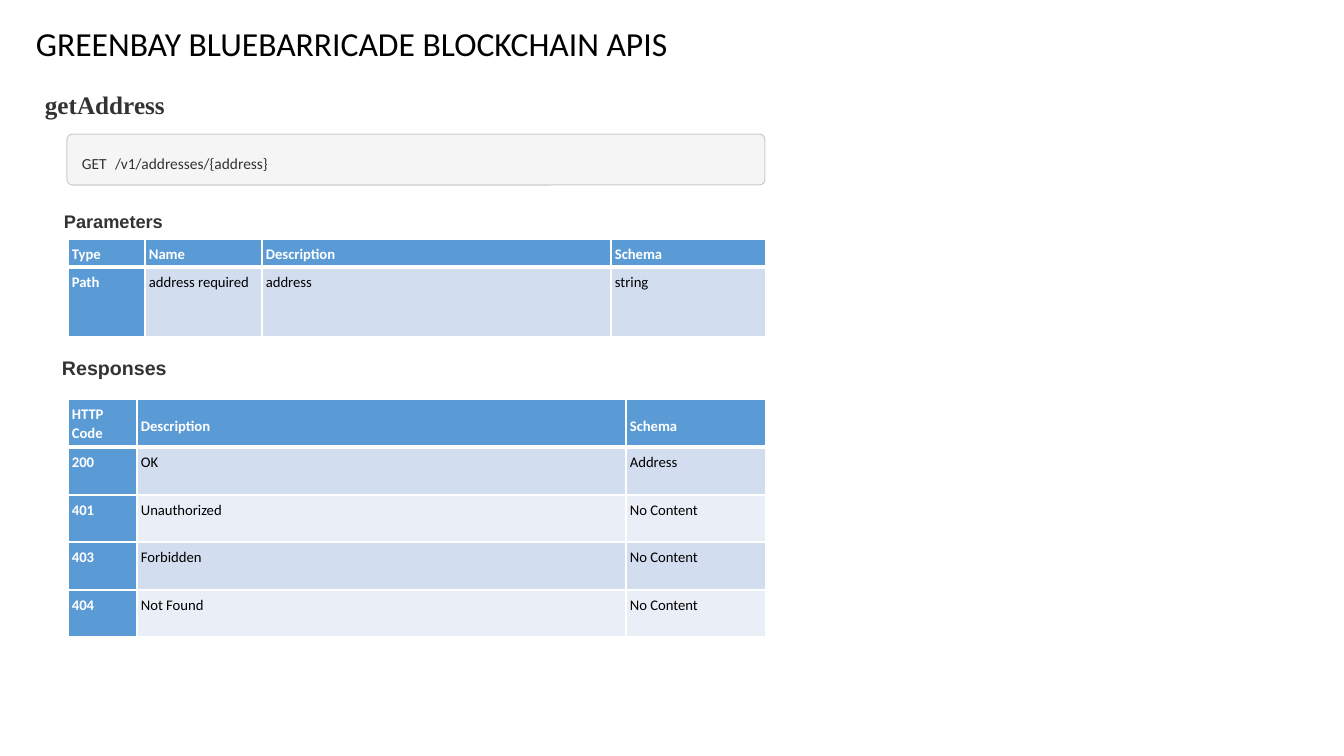
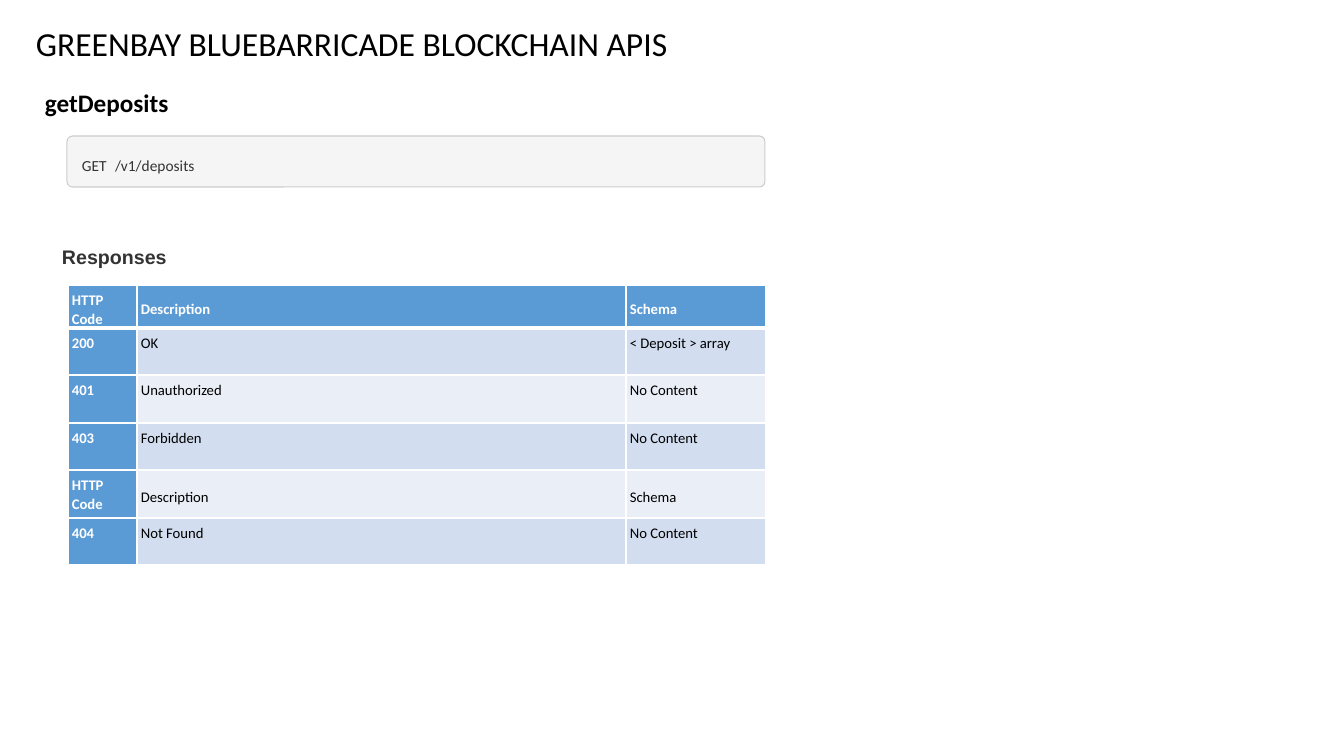
"""Build two reference slides for a blockchain REST interface."""
from dataclasses import dataclass

from lxml.etree import SubElement
from pptx import Presentation
from pptx.dml.color import RGBColor
from pptx.enum.shapes import MSO_SHAPE
from pptx.enum.text import MSO_ANCHOR, MSO_AUTO_SIZE
from pptx.oxml.ns import qn
from pptx.slide import Slide
from pptx.table import _Cell
from pptx.util import Emu, Pt

SCALE = 914400 / 100.8
HUES = {
    "black": "000000",
    "ink": "333333",
    "white": "FFFFFF",
    "blue": "5B9BD5",
    "odd": "D2DEEF",
    "even": "EAEFF7",
    "panel": "F5F5F5",
    "edge": "CCCCCC",
}
LEFT, WIDTH = 68, 698
CODE = "HTTP Code"


@dataclass(frozen=True)
class Style:
    font: str
    size: float
    hue: str
    bold: bool = False
    lead: float = 1.0


@dataclass(frozen=True)
class Label:
    text: str
    left: int
    top: int
    width: int
    height: int
    style: Style
    wrap: bool = False
    anchor: MSO_ANCHOR = MSO_ANCHOR.TOP


@dataclass(frozen=True)
class Grid:
    top: int
    cols: tuple[int, ...]
    rows: tuple[int, ...]
    cells: tuple[tuple[str, ...], ...]


@dataclass(frozen=True)
class Page:
    labels: tuple[Label, ...]
    bar: int
    route: str
    grids: tuple[Grid, ...]


PLAIN = Style("Calibri", 10.5, "black", lead=1.07)
STRONG = Style("Calibri", 10.5, "white", True, 1.07)
ROUTE = Style("Calibri", 11, "ink", lead=1.07)
PART = Style("Arial", 14, "ink", True, 1.07)
TITLE = Label("GREENBAY BLUEBARRICADE BLOCKCHAIN APIS", 26, 18, 657, 50,
              Style("Calibri", 24, "black"))


def px(size: int) -> Emu:
    return Emu(round(size * SCALE))


def rgb(hue: str) -> RGBColor:
    return RGBColor.from_string(HUES[hue])


def write(frame, texts: tuple[str, ...], style: Style) -> None:
    para = frame.paragraphs[0]
    para.line_spacing = style.lead
    for text in texts:
        run = para.add_run()
        run.text = text
        font = run.font
        font.name, font.size, font.bold = style.font, Pt(style.size), style.bold
        font.color.rgb = rgb(style.hue)


def label(slide: Slide, item: Label) -> None:
    box = slide.shapes.add_textbox(
        px(item.left), px(item.top), px(item.width), px(item.height))
    frame = box.text_frame
    frame.word_wrap = item.wrap
    frame.auto_size = MSO_AUTO_SIZE.SHAPE_TO_FIT_TEXT
    frame.vertical_anchor = item.anchor
    write(frame, (item.text,), item.style)


def bar(slide: Slide, top: int, route: str) -> None:
    panel = slide.shapes.add_shape(
        MSO_SHAPE.ROUNDED_RECTANGLE, px(LEFT - 1), px(top), px(WIDTH), px(51))
    panel.adjustments[0] = 0.11
    panel.shadow.inherit = False
    panel.fill.solid()
    panel.fill.fore_color.rgb = rgb("panel")
    panel.line.color.rgb = rgb("edge")
    panel.line.width = Pt(0.75)
    box = slide.shapes.add_textbox(px(82), px(top + 19), px(276), px(24))
    frame = box.text_frame
    frame.word_wrap = True
    frame.margin_left = frame.margin_top = 0
    frame.margin_right = frame.margin_bottom = 0
    props = frame.paragraphs[0]._p.get_or_add_pPr()
    stops = SubElement(props, qn("a:tabLst"))
    SubElement(stops, qn("a:tab"), pos=str(px(33)), algn="l")
    write(frame, ("GET", "\t", route), ROUTE)


def rule(cell: _Cell, row: int) -> None:
    props = cell._tc.get_or_add_tcPr()
    thick = {"T": row == 1, "B": row == 0}
    for side in "LRTB":
        width = Pt(3 if thick.get(side) else 1)
        line = SubElement(props, qn(f"a:ln{side}"), w=str(width))
        fill = SubElement(line, qn("a:solidFill"))
        SubElement(fill, qn("a:srgbClr"), val=HUES["white"])


def grid(slide: Slide, item: Grid) -> None:
    table = slide.shapes.add_table(
        len(item.rows), len(item.cols), px(LEFT), px(item.top),
        px(WIDTH), px(sum(item.rows))).table
    for col, width in zip(table.columns, item.cols):
        col.width = px(width)
    for r, (height, texts) in enumerate(zip(item.rows, item.cells)):
        table.rows[r].height = px(height)
        for c, text in enumerate(texts):
            cell = table.cell(r, c)
            head = r == 0 or c == 0
            cell.margin_left, cell.margin_top = px(4), px(5)
            cell.margin_right, cell.margin_bottom = px(8), 0
            if c and texts[0] == CODE:
                cell.vertical_anchor = MSO_ANCHOR.MIDDLE
            rule(cell, r)
            cell.fill.solid()
            cell.fill.fore_color.rgb = rgb(
                "blue" if head else "odd" if r % 2 else "even")
            write(cell.text_frame, (text,), STRONG if head else PLAIN)


def reply(top: int, rows: tuple[int, ...],
          cells: tuple[tuple[str, ...], ...]) -> Grid:
    return Grid(top, (69, 489, 140), rows, (HEAD, *cells))


def part(top: int) -> Label:
    return Label("Responses", 52, top, 126, 35, PART)


HEAD = (CODE, "Description", "Schema")
DENY = (
    ("401", "Unauthorized", "No Content"),
    ("403", "Forbidden", "No Content"),
)
LOST = ("404", "Not Found", "No Content")
PAGES = (
    Page(
        (
            Label("getAddress", 35, 82, 141, 40,
                  Style("Times New Roman", 18, "ink", True, 1.07)),
            Label("Parameters", 54, 205, 585, 32,
                  Style("Arial", 13, "ink", True), True, MSO_ANCHOR.MIDDLE),
            part(349),
        ),
        134, "/v1/addresses/{address}",
        (
            Grid(239, (77, 117, 349, 155), (28, 70), (
                ("Type", "Name", "Description", "Schema"),
                ("Path", "address required", "address", "string"),
            )),
            reply(399, (48, 48, 47, 48, 47),
                  (("200", "OK", "Address"), *DENY, LOST)),
        ),
    ),
    Page(
        (
            Label("getDeposits", 35, 82, 145, 40,
                  Style("Calibri", 18, "black", True)),
            part(238),
        ),
        136, "/v1/deposits",
        (
            reply(285, (43, 47, 48, 47, 48, 47),
                  (("200", "OK", "< Deposit > array"), *DENY, HEAD, LOST)),
        ),
    ),
)


def main() -> None:
    deck = Presentation()
    deck.slide_width, deck.slide_height = px(1344), px(756)
    for page in PAGES:
        slide = deck.slides.add_slide(deck.slide_layouts[6])
        for item in (TITLE, *page.labels):
            label(slide, item)
        bar(slide, page.bar, page.route)
        for item in page.grids:
            grid(slide, item)
    deck.save("out.pptx")


if __name__ == "__main__":
    main()
